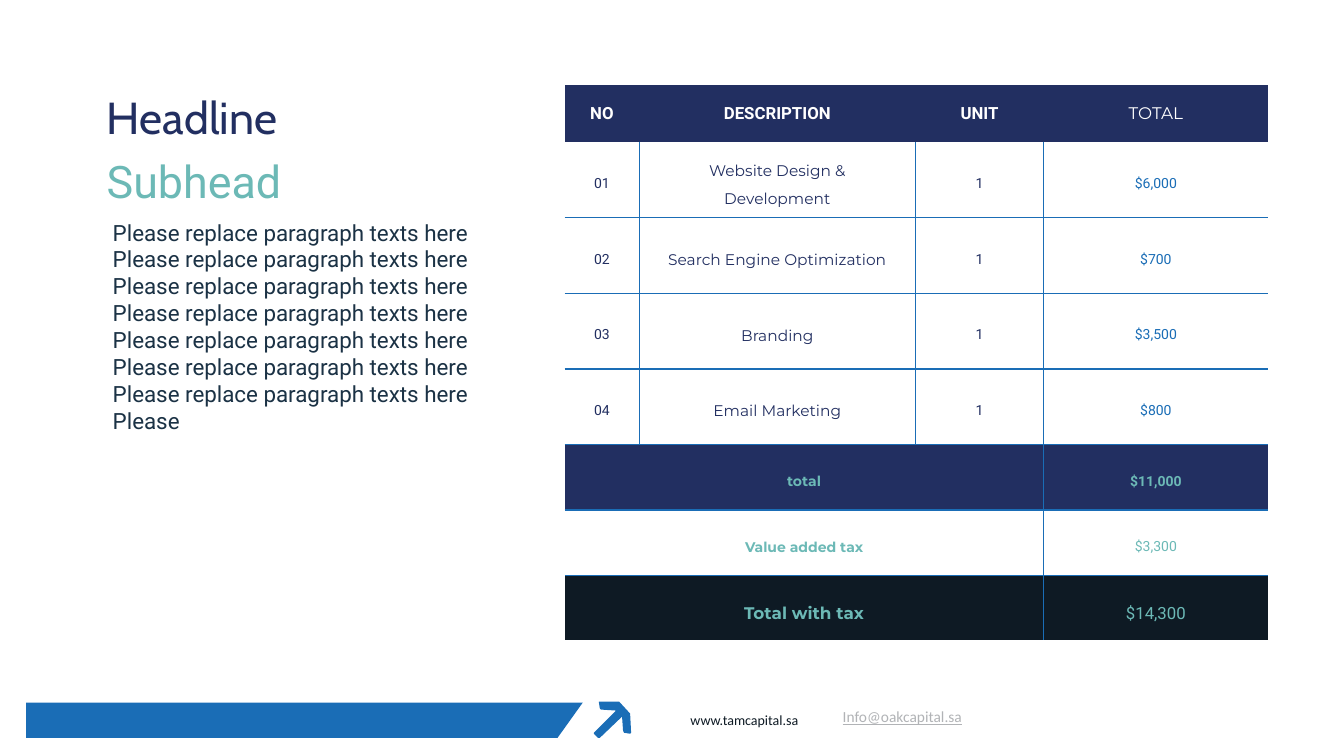
import pptx
import pptx.dml.color
import pptx.enum.text
import pptx.oxml
import pptx.oxml.ns
import pptx.util
from pptx.util import Inches

NAVY, BLUE, TEAL, INK, WHITE = "222F61", "1A6DB6", "6CB9B6", "0E1A24", "FFFFFF"
COLUMN_WIDTHS = [0.74, 2.74, 1.27, 2.23]
ROW_HEIGHTS = [0.57] + [0.75] * 4 + [0.65] * 3
HEADINGS = ["NO", "DESCRIPTION", "UNIT", "TOTAL"]
SERVICES = [
    ("Website Design & Development", "$6,000"),
    ("Search Engine Optimization", "$700"),
    ("Branding", "$3,500"),
    ("Email Marketing", "$800"),
]
# label, amount, fill, text size, amount is bold
SUMMARY = [
    ("total", "$11,000", NAVY, 10, True),
    ("Value added tax", "$3,300", WHITE, 10, False),
    ("Total with tax", "$14,300", INK, 12, False),
]
ARROW = [
    (6.14, 6.96), (6.25, 7.08), (6.26, 7.27), (6.25, 7.28), (6.19, 7.27),
    (6.18, 7.25), (6.17, 7.11), (5.95, 7.32), (5.93, 7.32), (5.89, 7.28),
    (5.89, 7.27), (6.11, 7.05), (5.96, 7.04), (5.95, 7.03), (5.94, 6.97), (5.94, 6.96),
]
BAR = [(0.26, 6.97), (0.26, 7.32), (5.53, 7.32), (5.78, 6.97)]


def color(hex_value):
    return pptx.dml.color.RGBColor.from_string(hex_value)


def drawing_element(tag, **attributes):
    element = pptx.oxml.parse_xml(f"<a:{tag} {pptx.oxml.ns.nsdecls('a')}/>")
    for name, value in attributes.items():
        element.set(name, value)
    return element


def format_span(span, size, font, hex_value, bold=False):
    span.font.size = pptx.util.Pt(size)
    span.font.name = font
    span.font.bold = bold
    span.font.color.rgb = color(hex_value)


def fill_text(box, text, size, font, hex_value):
    """Write one left-aligned paragraph into a text box or placeholder."""
    frame = box.text_frame
    frame.word_wrap = True
    frame.auto_size = pptx.enum.text.MSO_AUTO_SIZE.NONE
    frame.vertical_anchor = pptx.enum.text.MSO_ANCHOR.TOP
    frame.text = text
    para = frame.paragraphs[0]
    para.alignment = pptx.enum.text.PP_ALIGN.LEFT
    format_span(para.runs[0], size, font, hex_value)
    return para


def add_text(page, place, text, size, font, hex_value):
    box = page.shapes.add_textbox(*map(Inches, place))
    return fill_text(box, text, size, font, hex_value)


def add_title(page, place, text, size, font, hex_value):
    title = page.shapes.title
    title.left, title.top, title.width, title.height = map(Inches, place)
    fill_text(title, text, size, font, hex_value)


def add_outline(page, points):
    corners = [(Inches(x), Inches(y)) for x, y in points]
    builder = page.shapes.build_freeform(*corners[0])
    builder.add_line_segments(corners[1:], close=True)
    shape = builder.convert_to_shape()
    shape.shadow.inherit = False
    shape.fill.solid()
    shape.fill.fore_color.rgb = color(BLUE)
    shape.line.fill.background()


def set_borders(cell, **sides):
    """Draw the given sides (L, R, T, B) in their colours and clear the others."""
    properties = cell._tc.get_or_add_tcPr()
    for side in "LRTB":
        line = drawing_element(f"ln{side}", w="12700")
        if side in sides:
            fill = drawing_element("solidFill")
            fill.append(drawing_element("srgbClr", val=sides[side]))
        else:
            fill = drawing_element("noFill")
        line.append(fill)
        properties.append(line)


def style_cell(cell, fill):
    if fill:
        cell.fill.solid()
        cell.fill.fore_color.rgb = color(fill)
    else:
        cell.fill.background()
    cell.vertical_anchor = pptx.enum.text.MSO_ANCHOR.MIDDLE
    cell.margin_left = cell.margin_right = Inches(0.15)
    cell.margin_top = cell.margin_bottom = Inches(0)


def write_cell(cell, text, size, hex_value, bold=False, font="Montserrat", spacing=1.5):
    cell.text_frame.text = text
    para = cell.text_frame.paragraphs[0]
    para.alignment = pptx.enum.text.PP_ALIGN.CENTER
    para.line_spacing = spacing
    para._p.get_or_add_pPr().set("rtl", "1")
    span = para.runs[0]
    format_span(span, size, font, hex_value, bold)
    span._r.get_or_add_rPr().append(drawing_element("cs", typeface="Roboto"))


def draw_grid(table):
    """Give every cell its borders, fill and margins."""
    last_row, last_column = len(ROW_HEIGHTS) - 1, len(COLUMN_WIDTHS) - 1
    first_summary = 1 + len(SERVICES)
    fills = [NAVY] + [None] * len(SERVICES) + [row[2] for row in SUMMARY]
    for r, fill in enumerate(fills):
        for c in range(len(COLUMN_WIDTHS)):
            sides = {}
            if r > 0:
                sides["B"] = WHITE if r == last_row else BLUE
                if r > 1:
                    sides["T"] = BLUE
                if c > 0 and (r < first_summary or c == last_column):
                    sides["L"] = BLUE
                if c < last_column and (r < first_summary or c != 1):
                    sides["R"] = BLUE
            if r == last_row and c == 0:
                sides["L"] = WHITE
            if r == last_row and c == last_column:
                sides["R"] = WHITE
            cell = table.cell(r, c)
            set_borders(cell, **sides)
            style_cell(cell, fill)


def add_price_table(page):
    frame = page.shapes.add_table(
        len(ROW_HEIGHTS), len(COLUMN_WIDTHS), Inches(5.6), Inches(0.84),
        Inches(sum(COLUMN_WIDTHS)), Inches(sum(ROW_HEIGHTS)))
    table = frame.table
    table.first_row = table.horz_banding = False
    for column, width in zip(table.columns, COLUMN_WIDTHS):
        column.width = Inches(width)
    for row, height in zip(table.rows, ROW_HEIGHTS):
        row.height = Inches(height)
    draw_grid(table)

    for c, heading in enumerate(HEADINGS):
        is_total = heading == "TOTAL"
        write_cell(table.cell(0, c), heading, 12, WHITE, not is_total,
                   "Montserrat" if is_total else "Roboto", 1.0)
    for r, (service, price) in enumerate(SERVICES, start=1):
        write_cell(table.cell(r, 0), f"{r:02}", 10, NAVY)
        write_cell(table.cell(r, 1), service, 11, NAVY)
        write_cell(table.cell(r, 2), "1", 10, NAVY)
        write_cell(table.cell(r, 3), price, 10, BLUE)
    for r, (label, amount, _, size, bold) in enumerate(SUMMARY, start=1 + len(SERVICES)):
        table.cell(r, 0).merge(table.cell(r, 2))
        write_cell(table.cell(r, 0), label, size, TEAL, True)
        write_cell(table.cell(r, 3), amount, size, TEAL, bold)


def add_footer(page):
    add_outline(page, BAR)
    add_outline(page, ARROW)
    email = add_text(page, (8.26, 6.97, 1.43, 0.29), "Info@oakcapital.sa", 11, "Calibri", "B1B3B6")
    email.runs[0].font.underline = True
    website = add_text(page, (6.75, 6.93, 1.29, 0.33), "www.tamcapital.sa", 10, "Calibri", INK)
    website.line_spacing = 1.5


def main():
    deck = pptx.Presentation()
    deck.slide_width, deck.slide_height = Inches(13.33), Inches(7.5)
    page = deck.slides.add_slide(deck.slide_layouts[5])
    add_footer(page)
    add_price_table(page)
    add_title(page, (0.96, 0.84, 3.12, 0.64), "Headline", 32, "Cabin", NAVY)
    add_text(page, (0.96, 1.48, 4.58, 0.64), "Subhead", 32, "Roboto", TEAL)
    body = "Please replace paragraph texts here " * 7 + "Please"
    para = add_text(page, (0.96, 2.12, 3.95, 2.26), body, 16, "Roboto", "1B3245")
    para._p.get_or_add_pPr().set("marL", str(Inches(0.06)))
    deck.save("out.pptx")


if __name__ == "__main__":
    main()
